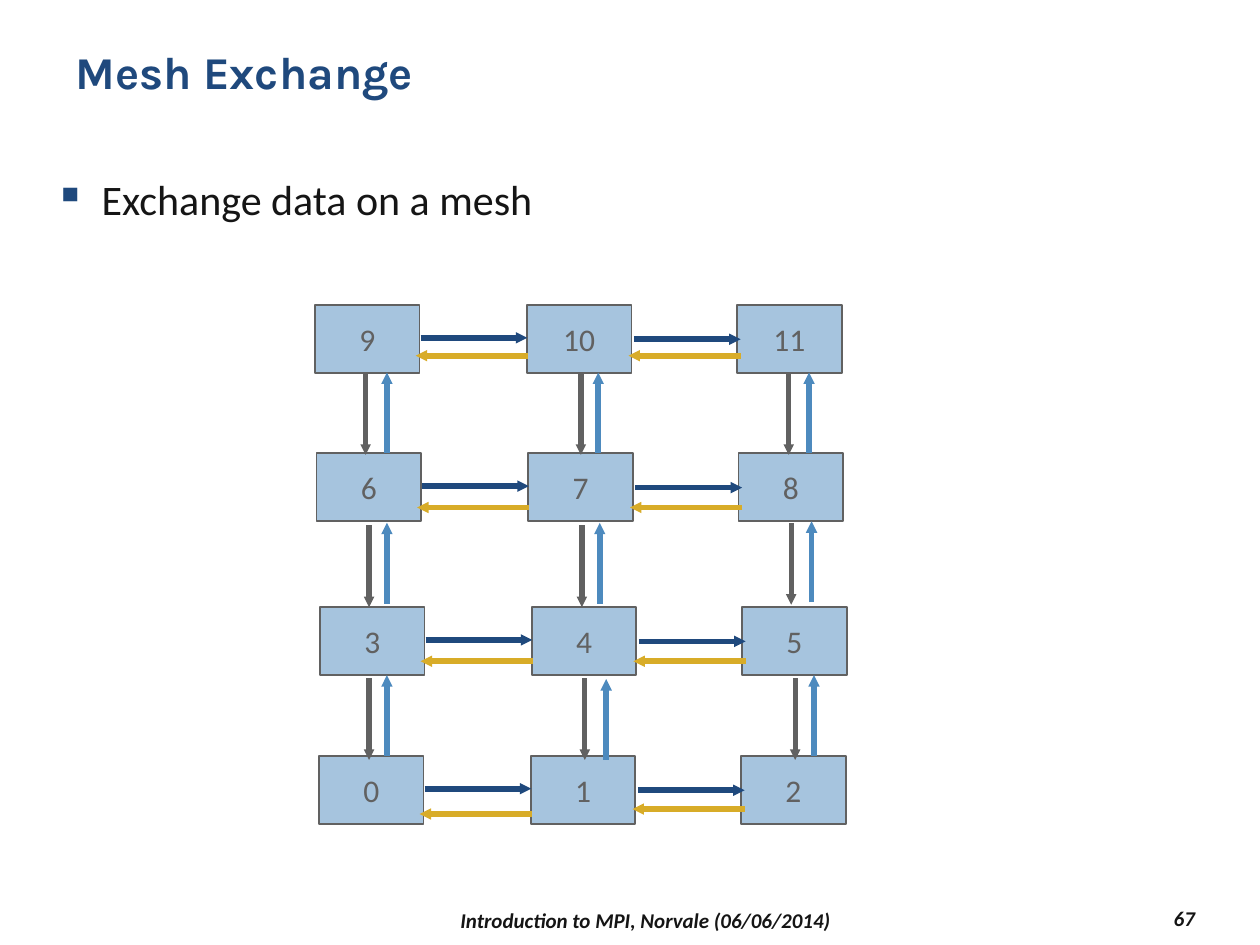
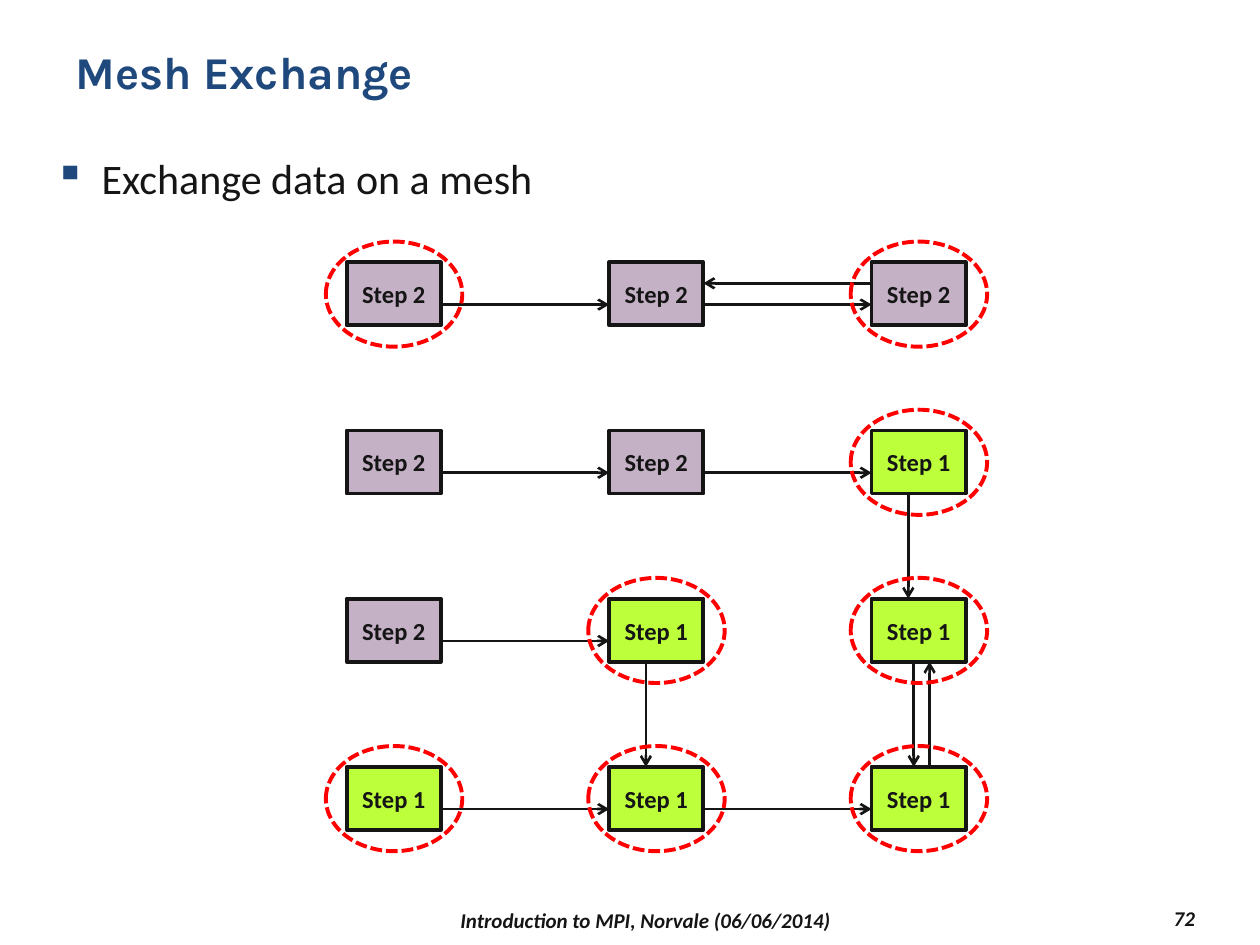
from lxml import etree
from pptx import Presentation
from pptx import util as u
from pptx.dml.color import RGBColor
from pptx.enum import dml, shapes, text
from pptx.oxml import ns

COLORS = {
    "navy": "1F497D", "ink": "151515", "gray": "616161", "sky": "A6C4DE",
    "blue": "4D8ABE", "gold": "D8AC28", "mauve": "C4B1C5", "lime": "BDFF3B",
    "red": "FF0000",
}
TITLE = "Mesh Exchange"
BULLET = "Exchange data on a mesh"
FOOTER = "Introduction to MPI, Norvale (06/06/2014)"


def color(name):
    return RGBColor.from_string(COLORS[name])


def add_xml(parent, tag, **attrs):
    return etree.SubElement(parent, ns.qn(tag), **attrs)


def add_run(p, words, size, ink, font="Calibri", bold=False, italic=False):
    r = p.add_run()
    r.text = words
    r.font.name = font
    r.font.size = u.Pt(size)
    r.font.bold = bold
    r.font.italic = italic
    r.font.color.rgb = color(ink)


def add_text(s, x, y, w, h, anchor=text.MSO_ANCHOR.TOP, align=text.PP_ALIGN.LEFT):
    tf = s.shapes.add_textbox(u.Cm(x), u.Cm(y), u.Cm(w), u.Cm(h)).text_frame
    tf.word_wrap = True
    tf.vertical_anchor = anchor
    p = tf.paragraphs[0]
    p.alignment = align
    return p


def add_bullet(s, y):
    p = add_text(s, 0.85, y, 23.7, 1.93)
    p.line_spacing = 1.2
    pPr = p._p.get_or_add_pPr()
    pPr.set("marL", str(u.Cm(0.95)))
    pPr.set("indent", str(u.Cm(-0.95)))
    add_xml(add_xml(pPr, "a:buClr"), "a:srgbClr", val=COLORS["navy"])
    add_xml(pPr, "a:buChar", char="▪")
    add_run(p, BULLET, 24, "ink")


def add_frame(prs, number, bullet_y):
    s = prs.slides.add_slide(prs.slide_layouts[6])
    add_run(add_text(s, 1.27, 0.76, 22.86, 2.21), TITLE, 26, "navy", "Karla", True)
    add_bullet(s, bullet_y)
    middle, align = text.MSO_ANCHOR.MIDDLE, text.PP_ALIGN
    for x, y, w, side, words in ((5.5, 18.2, 15.03, align.CENTER, FOOTER),
                                 (21.59, 18.15, 2.75, align.RIGHT, number)):
        p = add_text(s, x, y, w, 0.7, middle, side)
        add_run(p, words, 12, "ink", bold=True, italic=True)
    return s


def add_outline(tree, kind, x, y, w, h, line, width):
    sp = tree.add_shape(kind, u.Cm(x), u.Cm(y), u.Cm(w), u.Cm(h))
    sp.shadow.inherit = False
    sp.line.color.rgb = color(line)
    sp.line.width = u.Pt(width)
    return sp


def add_node(tree, x, y, w, h, label, fill, ink, line_width, size, bold):
    sp = add_outline(tree, shapes.MSO_SHAPE.RECTANGLE, x, y, w, h, ink, line_width)
    sp.fill.solid()
    sp.fill.fore_color.rgb = color(fill)
    tf = sp.text_frame
    tf.word_wrap = False
    tf.vertical_anchor = text.MSO_ANCHOR.MIDDLE
    p = tf.paragraphs[0]
    p.alignment = text.PP_ALIGN.CENTER
    add_run(p, label, size, ink, bold=bold)


def add_halo(tree, x, y):
    sp = add_outline(tree, shapes.MSO_SHAPE.OVAL, x - 0.42, y - 0.42, 2.75, 2.12, "red", 2.25)
    sp.fill.background()
    sp.line.dash_style = dml.MSO_LINE.SQUARE_DOT


def add_arrow(tree, x, y, dx, dy, ink, width, head, head_size):
    c = tree.add_connector(shapes.MSO_CONNECTOR.STRAIGHT,
                           u.Cm(x), u.Cm(y), u.Cm(x + dx), u.Cm(y + dy))
    c.line.color.rgb = color(ink)
    c.line.width = u.Pt(width)
    add_xml(c.line._get_or_add_ln(), "a:tailEnd", type=head, w=head_size, len=head_size)
    add_xml(c._element.spPr, "a:effectLst")


def add_thick_arrow(tree, x, y, dx, dy, ink, width=3.25):
    add_arrow(tree, x, y, dx, dy, ink, width, "triangle", "sm")


def add_thin_arrow(tree, x, y, dx, dy):
    add_arrow(tree, x, y, dx, dy, "ink", 1.5, "arrow", "med")


def build_ranks(prs):
    tree = add_frame(prs, "67", 3.18).shapes.add_group_shape().shapes
    cols = (6.35, 10.62, 14.86)
    tops = (6.15, 9.14, 12.24, 15.24)
    shifts = (0, 0.03, 0.1, 0.08)
    for row, (top, shift) in enumerate(zip(tops, shifts)):
        for col, left in enumerate(cols):
            rank = str(3 * (3 - row) + col)
            add_node(tree, left + shift, top, 2.11, 1.37, rank, "sky", "gray", 1, 18, False)

    down = (((7.37, 7.52), (11.71, 7.52), (15.9, 7.52)),
            ((7.44, 10.59), (11.73, 10.59), (15.95, 10.54)),
            ((7.44, 13.67), (11.79, 13.67), (16.03, 13.67)))
    up = (((7.8, 9.14), (12.06, 9.14), (16.31, 9.14)),
          ((7.8, 12.17), (12.09, 12.17), (16.36, 12.14)),
          ((7.8, 15.24), (12.22, 15.32), (16.41, 15.24)))
    for gap in down:
        for x, y in gap:
            add_thick_arrow(tree, x, y, 0, 1.65, "gray", 3)
    for top, shift in zip(tops, shifts):
        for left, dx, dy in ((cols[0], 2.13, 0.66), (cols[1], 2.16, 0.69)):
            add_thick_arrow(tree, left + shift + dx, top + dy, 2.15, 0, "navy")
    for gap in up:
        for x, y in gap:
            add_thick_arrow(tree, x, y, 0, -1.63, "blue")
    drops = ((1.02, 1.02), (1.09, 1.09), (1.09, 1.09), (1.17, 1.07))
    for top, shift, row_drops in zip(tops, shifts, drops):
        for left, dx, dy in zip(cols[1:], (0.02, 0.07), row_drops):
            add_thick_arrow(tree, left + shift + dx, top + dy, -2.26, 0, "gold")


def build_steps(prs):
    tree = add_frame(prs, "72", 2.75).shapes
    width, height, pitch_x, pitch_y = 1.9, 1.27, 5.29, 3.39
    steps = ("222", "221", "211", "111")
    fills = {"1": "lime", "2": "mauve"}

    def corner(col, row):
        return 6.99 + pitch_x * col, 5.29 + pitch_y * row

    for row, line in enumerate(steps):
        for col, step in enumerate(line):
            add_node(tree, *corner(col, row), width, height, f"Step {step}",
                     fills[step], "ink", 2.25, 14, True)

    run, fall = pitch_x - width, pitch_y - height
    for col, row in ((0, 0), (0, 1), (0, 2), (0, 3), (1, 0), (1, 1), (1, 3)):
        x, y = corner(col, row)
        add_thin_arrow(tree, x + width, y + 0.85, run, 0)
    x, y = corner(2, 0)
    add_thin_arrow(tree, x, y + 0.42, -run, 0)
    for col, row, dx in ((1, 2, 0.74), (2, 1, 0.74), (2, 2, 0.85)):
        x, y = corner(col, row)
        add_thin_arrow(tree, x + dx, y + height, 0, fall)
    x, y = corner(2, 3)
    add_thin_arrow(tree, x + 1.17, y, 0, -fall)

    for col, row in ((0, 3), (1, 3), (1, 2), (2, 2), (2, 3), (2, 1), (2, 0), (0, 0)):
        add_halo(tree, *corner(col, row))


def main():
    prs = Presentation()
    prs.slide_width, prs.slide_height = u.Cm(25.4), u.Cm(19.05)
    build_ranks(prs)
    build_steps(prs)
    prs.save("out.pptx")


if __name__ == "__main__":
    main()
